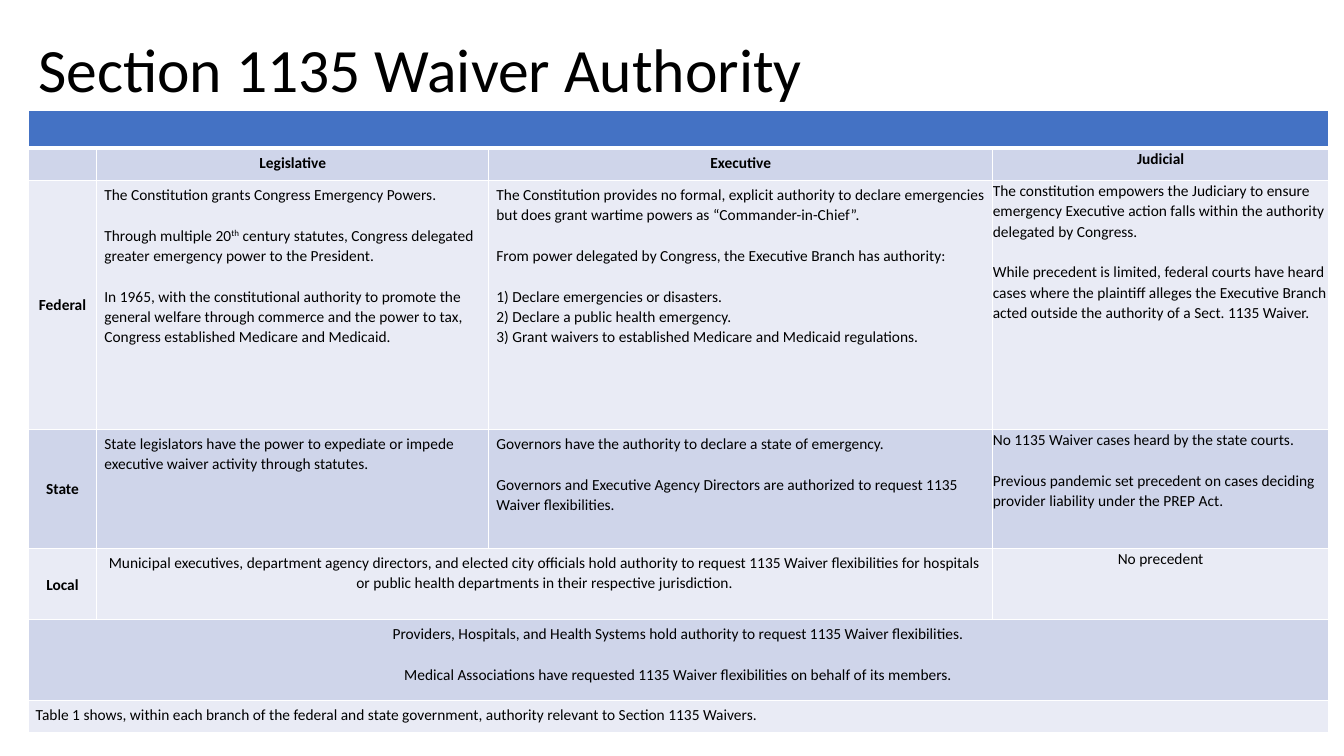
"""Build the slide with the Section 1135 waiver authority table."""
from lxml import etree
from pptx import Presentation
from pptx import util as u
from pptx.dml.color import RGBColor
from pptx.enum import text
from pptx.oxml.ns import qn

TITLE = "Section 1135 Waiver Authority"
COLORS = {"header": "4472C4", "dark": "CFD5EA", "light": "E9EBF5",
          "border": "FFFFFF", "text": "000000"}
FONT = "Calibri"
COLUMN_WIDTHS = [1.73, 9.88, 12.7, 8.46]
ROWS = [
    (0.96, "header", {}),
    (0.82, "dark", {1: ["Legislative"], 2: ["Executive"], 3: ["Judicial"]}),
    (6.27, "light", {
        0: ["Federal"],
        1: ["The Constitution grants Congress Emergency Powers.",
            "Through multiple 20^th^ century statutes, Congress delegated greater "
            "emergency power to the President.",
            "In 1965, with the constitutional authority to promote the general welfare "
            "through commerce and the power to tax, Congress established Medicare and Medicaid."],
        2: ["The Constitution provides no formal, explicit authority to declare "
            "emergencies but does grant wartime powers as “Commander-in-Chief”.",
            "From power delegated by Congress, the Executive Branch has authority:",
            "1) Declare emergencies or disasters.\n"
            "2) Declare a public health emergency.\n"
            "3) Grant waivers to established Medicare and Medicaid regulations."],
        3: ["The constitution empowers the Judiciary to ensure emergency Executive "
            "action falls within the authority delegated by Congress.",
            "While precedent is limited, federal courts have heard cases where the "
            "plaintiff alleges the Executive Branch acted outside the authority of a "
            "Sect. 1135 Waiver."]}),
    (3, "dark", {
        0: ["State"],
        1: ["State legislators have the power to expediate or impede executive waiver "
            "activity through statutes."],
        2: ["Governors have the authority to declare a state of emergency.",
            "Governors and Executive Agency Directors are authorized to request 1135 "
            "Waiver flexibilities."],
        3: ["No 1135 Waiver cases heard by the state courts.",
            "Previous pandemic set precedent on cases deciding provider liability "
            "under the PREP Act."]}),
    (1.8, "light", {
        0: ["Local"],
        1: ["Municipal executives, department agency directors, and elected city "
            "officials hold authority to request 1135 Waiver flexibilities for hospitals "
            "or public health departments in their respective jurisdiction."],
        3: ["No precedent"]}),
    (2.03, "dark", {
        0: ["Providers, Hospitals, and Health Systems hold authority to request 1135 "
            "Waiver flexibilities.",
            "Medical Associations have requested 1135 Waiver flexibilities on behalf of "
            "its members."]}),
    (0.82, "light", {
        0: ["Table 1 shows, within each branch of the federal and state government, "
            "authority relevant to Section 1135 Waivers."]}),
]
MERGES = [(0, 0, 3), (4, 1, 2), (5, 0, 3), (6, 0, 3)]
HEADING_ROW, CENTERED_ROWS, LABELED_ROWS = 1, (1, 4, 5), (2, 3, 4)
BLANK_LINE = u.Pt(14.5)


def set_all(target, values):
    for name, value in values.items():
        setattr(target, name, value)


def style_font(font, size, bold=False):
    set_all(font, {"name": FONT, "size": u.Pt(size), "bold": bold})
    font.color.rgb = RGBColor.from_string(COLORS["text"])


def add_borders(cell, row):
    properties = cell._tc.get_or_add_tcPr()
    thick_sides = {0: "B", 1: "T"}
    for position, side in enumerate("LRTB"):
        width = u.Pt(3 if thick_sides.get(row) == side else 1)
        line = etree.Element(qn("a:ln" + side), w=str(int(width)))
        fill = etree.SubElement(line, qn("a:solidFill"))
        etree.SubElement(fill, qn("a:srgbClr"), val=COLORS["border"])
        properties.insert(position, line)


def write_cell(cell, blocks, centered, bold):
    lines = [(line, block > 0 and order == 0) for block, content in enumerate(blocks)
             for order, line in enumerate(content.split("\n"))]
    for number, (line, gap) in enumerate(lines):
        para = cell.text_frame.add_paragraph() if number else cell.text_frame.paragraphs[0]
        set_all(para, {"line_spacing": 1.07,
                       "space_before": BLANK_LINE if gap else u.Pt(0),
                       "alignment": text.PP_ALIGN.CENTER if centered else text.PP_ALIGN.LEFT})
        for part, words in enumerate(line.split("^")):
            span = para.add_run()
            span.text = words
            style_font(span.font, 11, bold)
            if part % 2:
                span.font._element.set("baseline", "30000")
    if not lines:
        etree.SubElement(cell.text_frame.paragraphs[0]._p, qn("a:endParaRPr"), sz="1100")


def add_title(page):
    title = page.shapes.title
    set_all(title, {"left": u.Cm(0.71), "top": u.Cm(0),
                    "width": u.Cm(28.5), "height": u.Cm(3.68)})
    title.text_frame.vertical_anchor = text.MSO_ANCHOR.MIDDLE
    para = title.text_frame.paragraphs[0]
    set_all(para, {"alignment": text.PP_ALIGN.LEFT, "line_spacing": 0.9})
    span = para.add_run()
    span.text = TITLE
    style_font(span.font, 44)


def add_authority_table(page):
    table = page.shapes.add_table(
        len(ROWS), len(COLUMN_WIDTHS), u.Cm(0.71), u.Cm(2.77),
        u.Cm(sum(COLUMN_WIDTHS)), u.Cm(sum(row[0] for row in ROWS))).table
    set_all(table, {"first_row": False, "horz_banding": False})
    for column, width in zip(table.columns, COLUMN_WIDTHS):
        column.width = u.Cm(width)
    for row, first, last in MERGES:
        table.cell(row, first).merge(table.cell(row, last))
    for row, (height, color, contents) in enumerate(ROWS):
        table.rows[row].height = u.Cm(height)
        for column in range(len(COLUMN_WIDTHS)):
            cell = table.cell(row, column)
            label = column == 0 and row in LABELED_ROWS
            side, edge = (0, 0) if column == 3 else (0.19, 0.1)
            set_all(cell, {"margin_left": u.Cm(side), "margin_right": u.Cm(side),
                           "margin_top": u.Cm(edge), "margin_bottom": u.Cm(edge),
                           "vertical_anchor": text.MSO_ANCHOR.MIDDLE if label
                           else text.MSO_ANCHOR.TOP})
            cell.fill.solid()
            cell.fill.fore_color.rgb = RGBColor.from_string(COLORS[color])
            add_borders(cell, row)
            write_cell(cell, contents.get(column, []), label or row in CENTERED_ROWS,
                       label or row == HEADING_ROW)


def main():
    deck = Presentation()
    set_all(deck, {"slide_width": u.Cm(33.87), "slide_height": u.Cm(19.05)})
    page = deck.slides.add_slide(deck.slide_layouts[5])
    add_title(page)
    add_authority_table(page)
    deck.save("out.pptx")


if __name__ == "__main__":
    main()
